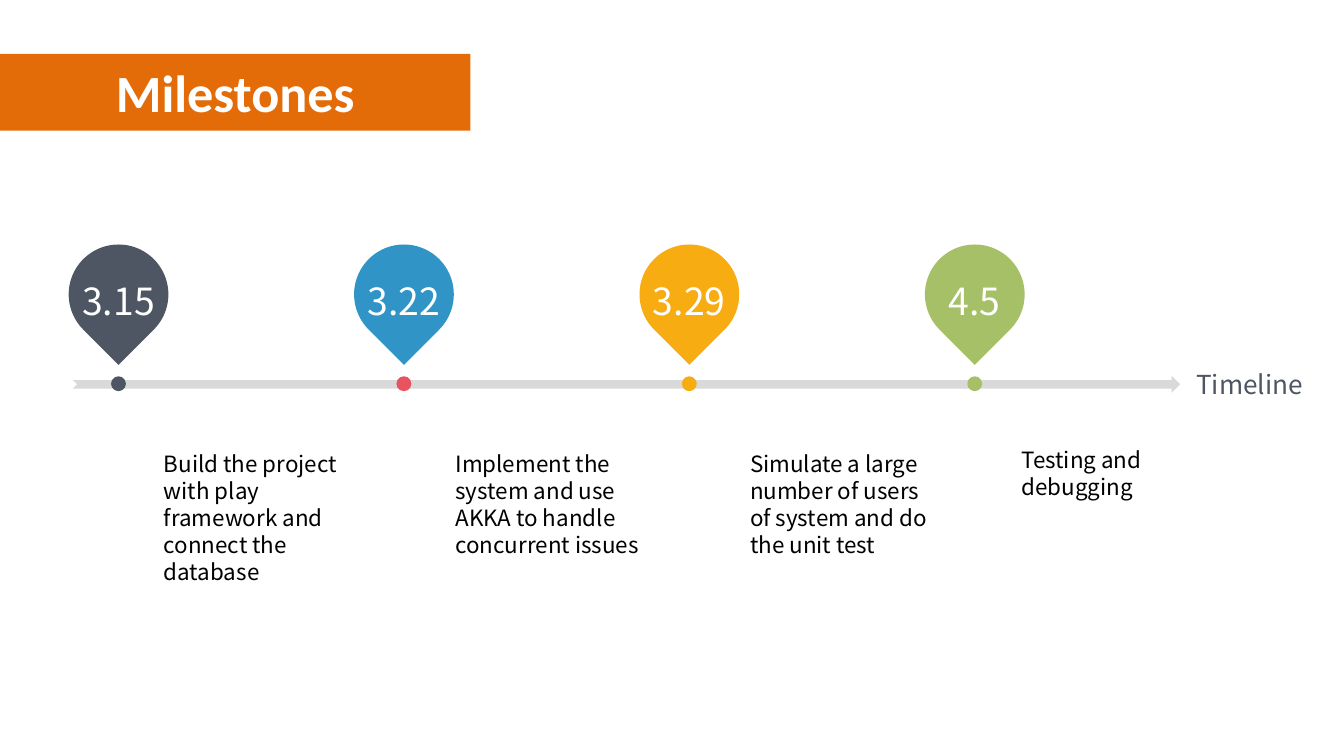
from dataclasses import dataclass

from pptx import Presentation
from pptx.dml.color import RGBColor
from pptx.enum.shapes import MSO_SHAPE
from pptx.enum.text import MSO_ANCHOR, PP_ALIGN
from pptx.util import Pt

TEARDROP, OVAL = MSO_SHAPE.TEAR, MSO_SHAPE.OVAL
ARROW = MSO_SHAPE.NOTCHED_RIGHT_ARROW
TOP, MIDDLE = MSO_ANCHOR.TOP, MSO_ANCHOR.MIDDLE
LEFT, CENTER = PP_ALIGN.LEFT, PP_ALIGN.CENTER
TITLE_ONLY = 5


@dataclass(frozen=True)
class Theme:
    title_font: str = "Calibri"
    body_font: str = "Noto Sans CJK SC"
    title_size: int = 28
    date_size: int = 20
    axis_size: int = 14
    note_size: int = 12
    white: str = "FFFFFF"
    black: str = "000000"
    orange: str = "E36C09"
    gray: str = "D9D9D9"
    slate: str = "4E5663"
    blue: str = "3194C6"
    red: str = "E7535F"
    amber: str = "F7AC12"
    green: str = "A5C067"


theme = Theme()


def write_text(box, text, size, color, font=theme.body_font, bold=False,
               align=LEFT, anchor=TOP, inset=(0, 0), spacing=None):
    """Put one formatted paragraph into a box."""
    frame = box.text_frame
    frame.word_wrap = True
    frame.vertical_anchor = anchor
    frame.margin_left = frame.margin_right = Pt(inset[0])
    frame.margin_top = frame.margin_bottom = Pt(inset[1])
    para = frame.paragraphs[0]
    para.alignment = align
    if spacing:
        para.line_spacing = spacing
    span = para.add_run()
    span.text = text
    span.font.name, span.font.size, span.font.bold = font, Pt(size), bold
    span.font.color.rgb = RGBColor.from_string(color)


def add_filled(page, kind, left, top, width, height, color):
    """Add a flat preset shape without outline or shadow."""
    shape = page.shapes.add_shape(kind, Pt(left), Pt(top), Pt(width), Pt(height))
    shape.shadow.inherit = False
    shape.fill.solid()
    shape.fill.fore_color.rgb = RGBColor.from_string(color)
    shape.line.fill.background()
    return shape


deck = Presentation()
deck.slide_width, deck.slide_height = Pt(720), Pt(405)
page = deck.slides.add_slide(deck.slide_layouts[TITLE_ONLY])

title = page.shapes.title
title.left, title.top, title.width, title.height = Pt(0), Pt(28.8), Pt(252), Pt(41.2)
title.fill.solid()
title.fill.fore_color.rgb = RGBColor.from_string(theme.orange)
write_text(title, "Milestones", theme.title_size, theme.white,
           font=theme.title_font, bold=True, align=CENTER, inset=(7.2, 3.6))

add_filled(page, ARROW, 39, 201.3, 593.2, 9.2, theme.gray)

# Date, pin colour, dot colour, note, note left, note top, note width
milestones = [
    ("3.15", theme.slate, theme.slate,
     "Build the project with play framework and connect the database", 87.8, 241.2, 110),
    ("3.22", theme.blue, theme.red,
     "Implement the system and use AKKA to handle concurrent issues", 244, 241.2, 101.5),
    ("3.29", theme.amber, theme.amber,
     "Simulate a large number of users of system and do the unit test", 401.8, 241.2, 99.4),
    ("4.5", theme.green, theme.green, "Testing and debugging", 547.2, 239, 99.4),
]
FIRST_CENTER, PITCH = 63.5, 152.9
PIN, DOT, DATE_WIDTH = 53.4, 8, 44

for index, (date, pin_color, dot_color, note, left, top, width) in enumerate(milestones):
    center = FIRST_CENTER + index * PITCH
    pin = add_filled(page, TEARDROP, center - PIN / 2, 131, PIN, PIN, pin_color)
    pin.rotation = 135
    date_box = page.shapes.add_textbox(
        Pt(center - DATE_WIDTH / 2), Pt(153.3), Pt(DATE_WIDTH), Pt(20))
    write_text(date_box, date, theme.date_size, theme.white,
               align=CENTER, anchor=MIDDLE, spacing=Pt(20))
    add_filled(page, OVAL, center - DOT / 2, 201.6, DOT, DOT, dot_color)
    note_box = page.shapes.add_textbox(Pt(left), Pt(top), Pt(width), Pt(72.7))
    write_text(note_box, note, theme.note_size, theme.black)

axis_box = page.shapes.add_textbox(Pt(640.8), Pt(197.3), Pt(70.6), Pt(17.3))
write_text(axis_box, "Timeline", theme.axis_size, theme.slate, anchor=MIDDLE)

deck.save("out.pptx")
